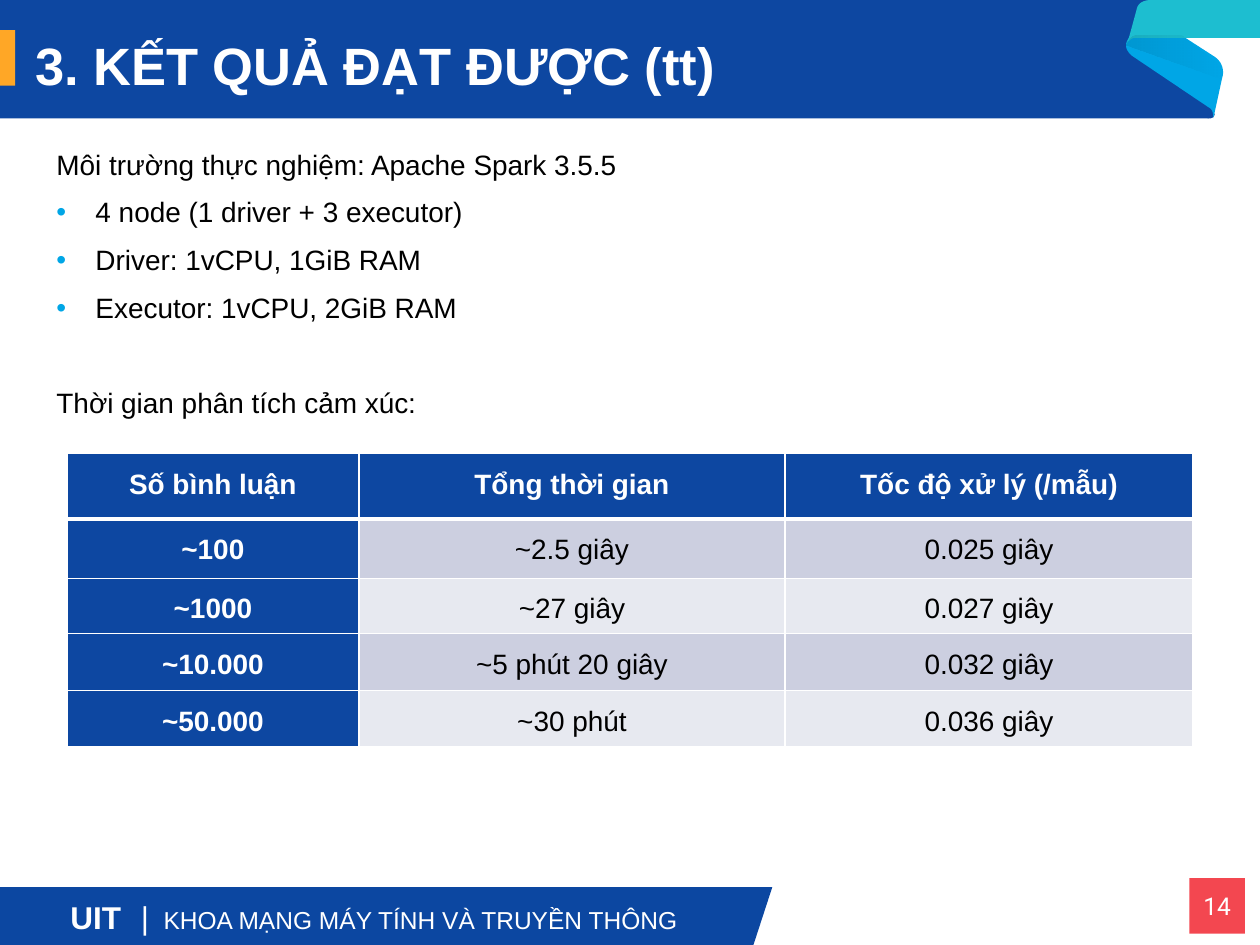
import pptx
import pptx.dml.color
import pptx.enum.shapes
import pptx.enum.text
import pptx.oxml
import pptx.oxml.ns
import pptx.util
from lxml import etree

Inches = pptx.util.Inches
Pt = pptx.util.Pt
ALIGN = pptx.enum.text.PP_ALIGN
ANCHOR = pptx.enum.text.MSO_ANCHOR
RECT = pptx.enum.shapes.MSO_SHAPE.RECTANGLE
qn = pptx.oxml.ns.qn

NAVY, WHITE, BLACK, CYAN = "0D47A1", "FFFFFF", "000000", "00A6E6"
BANDS = ["CCCFE0", "E7E9F0"]
SPECS = ["4 node (1 driver + 3 executor)", "Driver: 1vCPU, 1GiB RAM",
         "Executor: 1vCPU, 2GiB RAM"]
ROWS = [
    ["Số bình luận", "Tổng thời gian", "Tốc độ xử lý (/mẫu)"],
    ["~100", "~2.5 giây", "0.025 giây"],
    ["~1000", "~27 giây", "0.027 giây"],
    ["~10.000", "~5 phút 20 giây", "0.032 giây"],
    ["~50.000", "~30 phút", "0.036 giây"],
]


def rgb(code):
    return pptx.dml.color.RGBColor.from_string(code)


def paint(shape, color):
    shape.shadow.inherit = False
    shape.fill.solid()
    shape.fill.fore_color.rgb = rgb(color)
    shape.line.fill.background()


def add_run(para, text, size=16, color=BLACK, bold=False, font="Arial"):
    run = para.add_run()
    run.text = text
    run.font.size, run.font.bold, run.font.name = Pt(size), bold, font
    run.font.color.rgb = rgb(color)


def write(para, text, align=ALIGN.LEFT, space=None, before=None, after=None,
          indent=None, bullet=None, **look):
    """Fill one paragraph; look goes on to its run."""
    props = para._p.get_or_add_pPr()
    if indent:
        props.set("marL", str(Inches(indent[0])))
        props.set("indent", str(Inches(indent[1])))
    para.alignment = align
    if space:
        para.line_spacing = space
    if before:
        para.space_before = Pt(before)
    if after:
        para.space_after = Pt(after)
    if bullet:
        tint = etree.SubElement(props, qn("a:buClr"))
        etree.SubElement(tint, qn("a:srgbClr"), val=bullet)
        etree.SubElement(props, qn("a:buFont"), typeface="Arial")
        etree.SubElement(props, qn("a:buChar"), char="•")
    add_run(para, text, **look)


def add_box(slide, left, top, width, height, anchor=ANCHOR.TOP):
    box = slide.shapes.add_textbox(
        Inches(left), Inches(top), Inches(width), Inches(height))
    box.text_frame.word_wrap = True
    box.text_frame.vertical_anchor = anchor
    return box.text_frame


def outline(slide, left, top, path, color):
    """Draw a closed path: pairs are corners, sixes are Bezier curves."""
    points = [path[0]]
    for step in path[1:]:
        if len(step) == 2:
            points.append(step)
            continue
        ctrl = [points[-1], step[:2], step[2:4], step[4:]]
        for i in range(1, 13):
            t = i / 12
            mix = [(1 - t) ** 3, 3 * t * (1 - t) ** 2, 3 * t * t * (1 - t), t ** 3]
            points.append(tuple(sum(m * c[k] for m, c in zip(mix, ctrl))
                                for k in (0, 1)))
    spots = [(Inches(left + x), Inches(top + y)) for x, y in points]
    pen = slide.shapes.build_freeform(*spots[0])
    pen.add_line_segments(spots[1:], close=True)
    shape = pen.convert_to_shape()
    paint(shape, color)
    return shape


def add_ribbon(slide, left, top):
    # Lower fold
    outline(slide, left, top, [
        (0.05, 0.44), (0.66, 0.85), (0.7, 0.87, 0.7, 0.91, 0.7, 0.94),
        (0.77, 0.62), (0.79, 0.56, 0.77, 0.49, 0.71, 0.45), (0.4, 0.25),
        (0.08, 0.26), (0.05, 0.26, 0.02, 0.31, 0.01, 0.34),
        (0, 0.38, 0.02, 0.41, 0.05, 0.44)], CYAN)
    # Upper strip
    outline(slide, left, top, [
        (0.01, 0.35), (0.02, 0.33, 0.05, 0.3, 0.08, 0.3), (1.07, 0.3),
        (1.07, 0), (0.21, 0), (0.15, 0, 0.1, 0.02, 0.09, 0.08),
        (0.03, 0.3)], "1DBED0")
    # Shade that fades out to the right
    shade = outline(slide, left, top, [
        (0.01, 0.36), (0.78, 0.63), (0.78, 0.57, 0.75, 0.52, 0.71, 0.48),
        (0.45, 0.28), (0.08, 0.28), (0.05, 0.28, 0.02, 0.32, 0.01, 0.35)], BLACK)
    shade.fill.gradient()
    shade.fill.gradient_angle = 0
    for stop, alpha in zip(shade.fill.gradient_stops, (9000, 0)):
        stop.color.rgb = rgb(BLACK)
    for tint, alpha in zip(shade._element.spPr.iter(qn("a:srgbClr")), (9000, 0)):
        etree.SubElement(tint, qn("a:alpha"), val=str(alpha))


def add_block(slide, left, top, width, height, color):
    block = slide.shapes.add_shape(
        RECT, Inches(left), Inches(top), Inches(width), Inches(height))
    paint(block, color)
    return block


def add_header(slide, left, top):
    outline(slide, left, top, [
        (0, 0), (9.21, 0), (9.32, 0, 9.26, 0.33, 9.32, 0.46),
        (9.38, 0.6, 9.5, 0.68, 9.59, 0.78), (9.62, 0.8, 9.63, 0.84, 9.63, 0.88),
        (9.64, 0.91), (9.63, 0.95, 9.59, 0.94, 9.55, 0.94), (0, 0.94)], NAVY)
    add_ribbon(slide, left + 8.93, top)
    add_block(slide, left, top + 0.24, 0.12, 0.44, "FFA726")
    frame = add_box(slide, left + 0.18, top, 8.7, 1.09, ANCHOR.MIDDLE)
    write(frame.paragraphs[0], "3. KẾT QUẢ ĐẠT ĐƯỢC (tt)", space=0.9,
          size=30, color=WHITE, bold=True)


def add_body(slide, left, top, width, height):
    frame = add_box(slide, left, top, width, height)
    look = dict(align=ALIGN.JUSTIFY, space=0.9)
    write(frame.paragraphs[0], "Môi trường thực nghiệm: Apache Spark 3.5.5",
          indent=(0.05, 0), **look)
    for item in SPECS:
        write(frame.add_paragraph(), item, indent=(0.36, -0.31), before=10,
              bullet=CYAN, **look)
    write(frame.add_paragraph(), "Thời gian phân tích cảm xúc:",
          indent=(0.05, 0), before=37, **look)


def add_edges(cell, head):
    props = cell._tc.get_or_add_tcPr()
    for side in "LRTB":
        wide = 3 if head and side == "B" else 1
        line = etree.SubElement(props, qn("a:ln" + side), w=str(Pt(wide)))
        fill = etree.SubElement(line, qn("a:solidFill"))
        etree.SubElement(fill, qn("a:srgbClr"), val=WHITE)


def add_times(slide, left, top, widths, heights):
    table = slide.shapes.add_table(
        len(ROWS), len(widths), Inches(left), Inches(top),
        Inches(sum(widths)), Inches(sum(heights))).table
    for col, width in zip(table.columns, widths):
        col.width = Inches(width)
    for r, (row, height) in enumerate(zip(ROWS, heights)):
        table.rows[r].height = Inches(height)
        for c, text in enumerate(row):
            cell, head = table.cell(r, c), r == 0 or c == 0
            cell.margin_left = cell.margin_right = Inches(0.11)
            cell.margin_top = cell.margin_bottom = 0
            add_edges(cell, r == 0)
            cell.fill.solid()
            cell.fill.fore_color.rgb = rgb(NAVY if head else BANDS[(r - 1) % 2])
            write(cell.text_frame.paragraphs[0], text, align=ALIGN.CENTER,
                  space=1.5, after=10, bold=head,
                  color=WHITE if head else BLACK)


def add_footer(slide, left, top):
    outline(slide, left, top, [(0, 0), (6.13, 0), (5.98, 0.46), (0, 0.46)],
            "0C47A1")
    para = add_box(slide, left + 0.46, top + 0.04, 5.53, 0.4).paragraphs[0]
    tabs = etree.SubElement(para._p.get_or_add_pPr(), qn("a:tabLst"))
    for stop in (0.56, 0.74):
        etree.SubElement(tabs, qn("a:tab"), pos=str(Inches(stop)), algn="l")
    add_run(para, "UIT", size=18, color=WHITE, bold=True)
    add_run(para, "\t|", size=18, color=WHITE)
    add_run(para, "\tKHOA MẠNG MÁY TÍNH VÀ TRUYỀN THÔNG", size=14, color=WHITE)


def add_number(slide, left, top, size):
    frame = add_block(slide, left, top, size, size, "F34750").text_frame
    frame.margin_left = frame.margin_right = 0
    frame.margin_top = frame.margin_bottom = 0
    frame.vertical_anchor = ANCHOR.MIDDLE
    write(frame.paragraphs[0], "14", align=ALIGN.CENTER, size=14, color=WHITE,
          font="Roboto")


def main():
    deck = pptx.Presentation()
    deck.slide_width, deck.slide_height = Inches(10), Inches(7.5)
    slide = deck.slides.add_slide(deck.slide_layouts[6])
    add_header(slide, 0, 0)
    add_number(slide, 9.44, 6.97, 0.44)
    add_footer(slide, 0, 7.04)
    add_body(slide, 0.3, 1.15, 9.4, 2.26)
    add_times(slide, 0.53, 3.6, [2.32, 3.38, 3.24], [0.52, 0.47, 0.44, 0.45, 0.45])
    deck.save("out.pptx")


if __name__ == "__main__":
    main()
